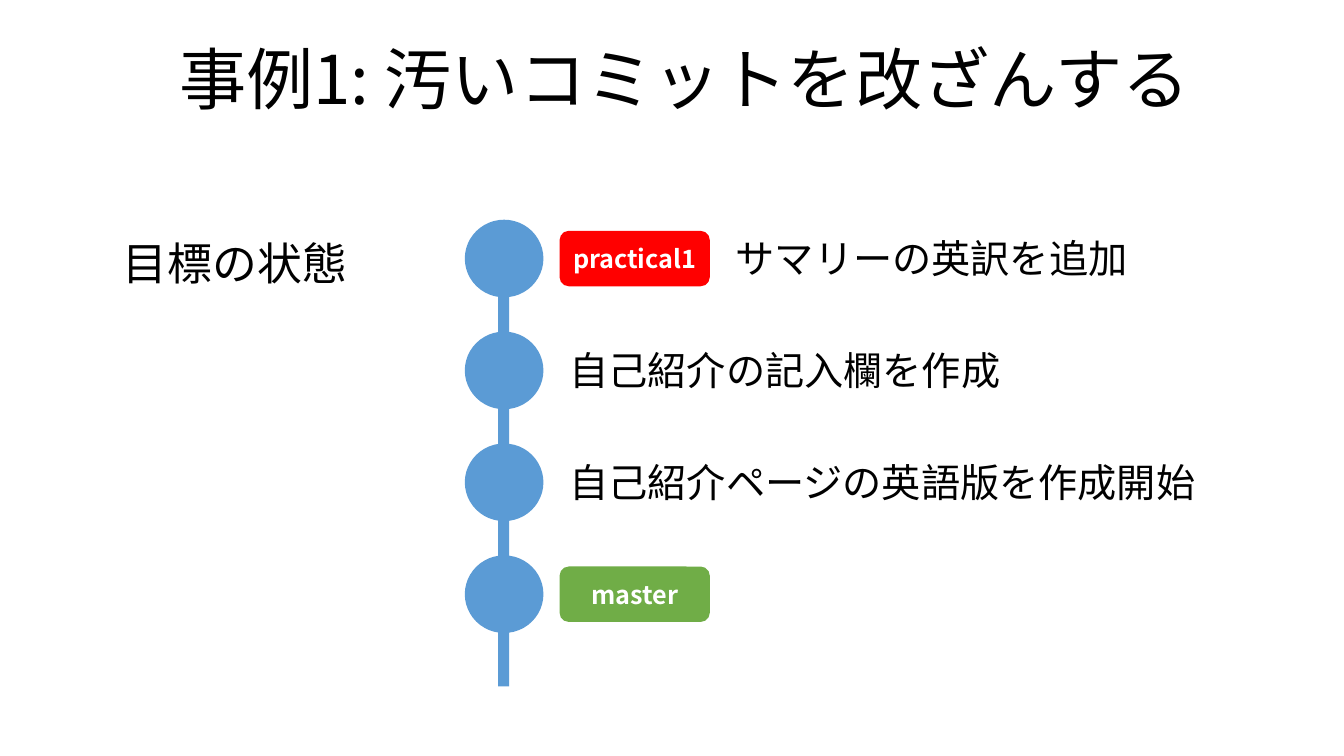
"""Build a slide showing the target commit history of a branch."""
from lxml.etree import SubElement
from pptx import Presentation
from pptx.dml.color import RGBColor
from pptx.enum.shapes import MSO_SHAPE as Shape
from pptx.enum.text import MSO_ANCHOR as Anchor, PP_ALIGN as Align
from pptx.oxml.ns import qn
from pptx.util import Inches, Pt

FONT = "Noto Sans CJK JP"
BLACK = RGBColor(0x00, 0x00, 0x00)
WHITE = RGBColor(0xFF, 0xFF, 0xFF)
BLUE = RGBColor(0x5B, 0x9B, 0xD5)
RED = RGBColor(0xFF, 0x00, 0x00)
GREEN = RGBColor(0x70, 0xAD, 0x47)

HEADINGS = [
    ("事例1: 汚いコミットを改ざんする", 48, (0.25, 0.32, 13.08, 0.91)),
    ("目標の状態", 32, (0.71, 2.29, 3.24, 0.64)),
]
COMMITS = [
    {"branch": "practical1", "color": RED, "message": "サマリーの英訳を追加", "width": 4.13},
    {"message": "自己紹介の記入欄を作成", "width": 6.38},
    {"message": "自己紹介ページの英語版を作成開始", "width": 6.48},
    {"branch": "master", "color": GREEN},
]

NODE_LEFT, NODE_TOP, NODE_WIDTH, NODE_HEIGHT = 4.61, 2.18, 0.78, 0.77
STEP = 1.11
TRUNK = (4.94, 2.27, 0.11, 4.54)
LABEL_LEFT, LABEL_WIDTH, LABEL_HEIGHT = 5.55, 1.49, 0.55
LABEL_GAP = 0.16
MESSAGE_HEIGHT = 0.57


def write(shape, text, size, color, align, bold=False):
    frame = shape.text_frame
    frame.word_wrap = True
    para = frame.paragraphs[0]
    para.alignment = align
    span = para.add_run()
    span.text = text
    style = {"name": FONT, "size": Pt(size), "bold": bold}
    for name, value in style.items():
        setattr(span.font, name, value)
    span.font.color.rgb = color
    SubElement(span._r.get_or_add_rPr(), qn("a:ea")).set("typeface", FONT)


def add_text(page, text, size, place, align=Align.LEFT):
    box = page.shapes.add_textbox(*map(Inches, place))
    write(box, text, size, BLACK, align)


def add_filled(page, kind, place, color):
    shape = page.shapes.add_shape(kind, *map(Inches, place))
    shape.shadow.inherit = False
    shape.fill.solid()
    shape.fill.fore_color.rgb = color
    shape.line.fill.background()
    return shape


def add_commit(page, index, commit):
    top = NODE_TOP + index * STEP
    middle = top + NODE_HEIGHT / 2
    add_filled(page, Shape.OVAL, (NODE_LEFT, top, NODE_WIDTH, NODE_HEIGHT), BLUE)
    left = LABEL_LEFT
    if "branch" in commit:
        place = (left, middle - LABEL_HEIGHT / 2, LABEL_WIDTH, LABEL_HEIGHT)
        label = add_filled(page, Shape.ROUNDED_RECTANGLE, place, commit["color"])
        label.text_frame.vertical_anchor = Anchor.MIDDLE
        write(label, commit["branch"], 18, WHITE, Align.CENTER, bold=True)
        left += LABEL_WIDTH + LABEL_GAP
    if "message" in commit:
        place = (left, middle - MESSAGE_HEIGHT / 2, commit["width"], MESSAGE_HEIGHT)
        add_text(page, commit["message"], 28, place)


def main():
    deck = Presentation()
    deck.slide_width, deck.slide_height = Inches(13.33), Inches(7.5)
    page = deck.slides.add_slide(deck.slide_layouts[6])
    for text, size, place in HEADINGS:
        add_text(page, text, size, place, Align.CENTER)
    add_filled(page, Shape.RECTANGLE, TRUNK, BLUE)
    for index, commit in enumerate(COMMITS):
        add_commit(page, index, commit)
    deck.save("out.pptx")


if __name__ == "__main__":
    main()
